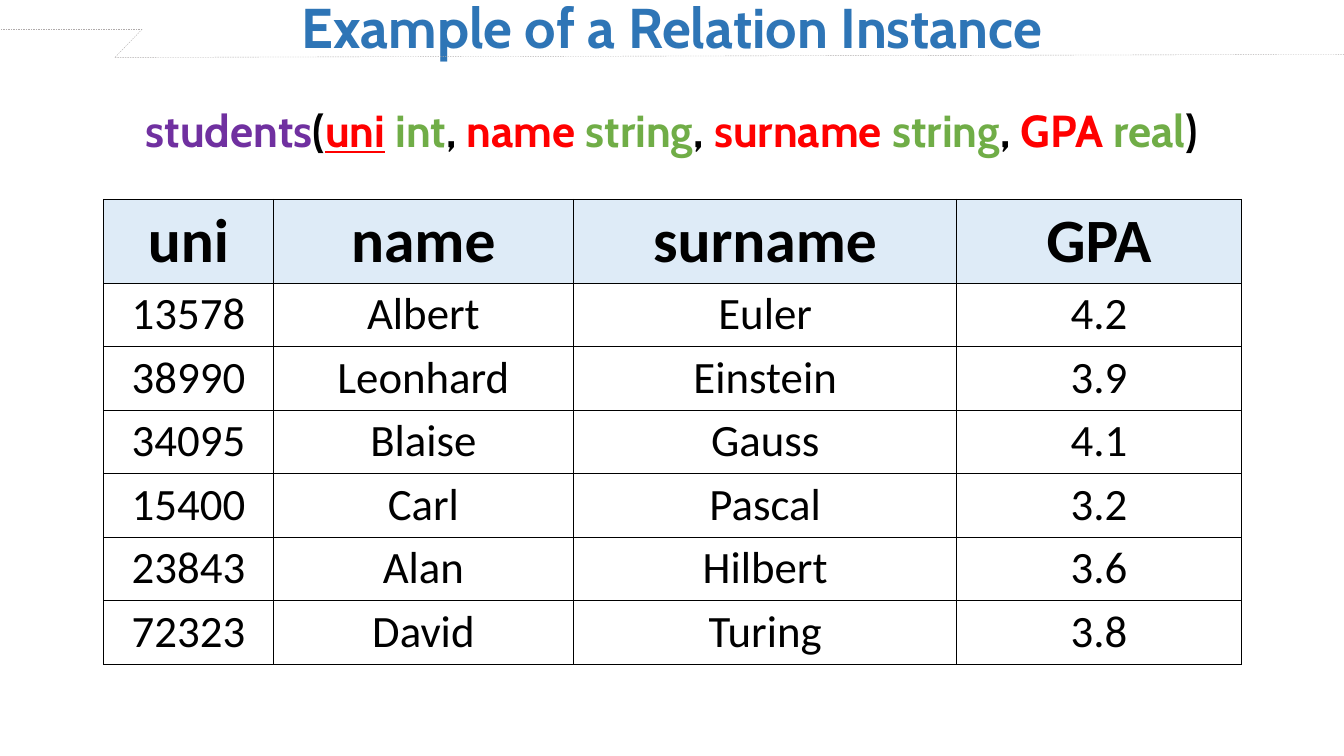
"""Build a slide showing a relation schema and an instance of it."""
from lxml import etree
from pptx import Presentation
from pptx.dml.color import RGBColor
from pptx.enum.dml import MSO_LINE
from pptx.enum.shapes import MSO_CONNECTOR
from pptx.enum.text import MSO_AUTO_SIZE, PP_ALIGN
from pptx.oxml.ns import qn
from pptx.util import Inches, Pt

CENTER = PP_ALIGN.CENTER
STRAIGHT = MSO_CONNECTOR.STRAIGHT
DASH = MSO_LINE.DASH
GROW = MSO_AUTO_SIZE.SHAPE_TO_FIT_TEXT

BLUE = RGBColor(0x2E, 0x75, 0xB6)
PURPLE = RGBColor(0x70, 0x30, 0xA0)
RED = RGBColor(0xFF, 0x00, 0x00)
GREEN = RGBColor(0x70, 0xAD, 0x47)
BLACK = RGBColor(0x00, 0x00, 0x00)
GRAY = RGBColor(0xAF, 0xAB, 0xAB)
PALE_BLUE = RGBColor(0xDE, 0xEB, 0xF7)

SLIDE_WIDTH, SLIDE_HEIGHT = 13.33, 7.5
TITLE = "Example of a Relation Instance"
RELATION = "students"
KEY = "uni"
ATTRIBUTES = [("uni", "int"), ("name", "string"), ("surname", "string"), ("GPA", "real")]
STUDENTS = [
    ("13578", "Albert", "Euler", "4.2"),
    ("38990", "Leonhard", "Einstein", "3.9"),
    ("34095", "Blaise", "Gauss", "4.1"),
    ("15400", "Carl", "Pascal", "3.2"),
    ("23843", "Alan", "Hilbert", "3.6"),
    ("72323", "David", "Turing", "3.8"),
]
COLUMN_WIDTHS = [1.68, 2.98, 3.8, 2.82]
HEADER_HEIGHT, STUDENT_HEIGHT = 0.83, 0.63
RULE_SEGMENTS = [
    ((1.14, 0.57), (13.33, 0.54)),
    ((1.41, 0.29), (1.14, 0.57)),
    ((1.41, 0.29), (0, 0.29)),
]


def style_font(font, name, size, color, bold):
    font.name = name
    font.size = Pt(size)
    font.color.rgb = color
    font.bold = bold


def add_line_of_text(slide, top, height, pieces, size):
    box = slide.shapes.add_textbox(0, Inches(top), Inches(SLIDE_WIDTH), Inches(height))
    frame = box.text_frame
    frame.word_wrap = True
    frame.auto_size = GROW
    paragraph = frame.paragraphs[0]
    paragraph.alignment = CENTER
    for text, color, underline in pieces:
        run = paragraph.add_run()
        run.text = text
        style_font(run.font, "Cabin", size, color, True)
        run.font.underline = underline
    return frame


def schema_pieces():
    pieces = [(RELATION, PURPLE, False), ("(", BLACK, False)]
    for index, (attribute, domain) in enumerate(ATTRIBUTES):
        if index:
            pieces.append((", ", BLACK, False))
        pieces += [(attribute, RED, attribute == KEY), (" ", BLACK, False), (domain, GREEN, False)]
    return pieces + [(")", BLACK, False)]


def add_rule(slide):
    for start, end in RULE_SEGMENTS:
        segment = slide.shapes.add_connector(STRAIGHT, *map(Inches, start + end))
        segment.line.color.rgb = GRAY
        segment.line.width = Pt(0.25)
        segment.line.dash_style = DASH
        etree.SubElement(segment.element.spPr, qn("a:effectLst"))


def add_borders(cell):
    properties = cell._tc.get_or_add_tcPr()
    for side in ("a:lnL", "a:lnR", "a:lnT", "a:lnB"):
        border = etree.SubElement(properties, qn(side), w=str(Pt(1)))
        fill = etree.SubElement(border, qn("a:solidFill"))
        etree.SubElement(fill, qn("a:srgbClr"), val=str(BLACK))


def add_instance(slide):
    rows = [tuple(attribute for attribute, _ in ATTRIBUTES)] + STUDENTS
    heights = [HEADER_HEIGHT] + [STUDENT_HEIGHT] * len(STUDENTS)
    instance = slide.shapes.add_table(
        len(rows), len(ATTRIBUTES), Inches(1.03), Inches(1.98),
        Inches(sum(COLUMN_WIDTHS)), Inches(sum(heights))).table
    instance.first_row = False
    instance.horz_banding = False
    for column, width in zip(instance.columns, COLUMN_WIDTHS):
        column.width = Inches(width)
    for row_index, (values, height) in enumerate(zip(rows, heights)):
        is_header = row_index == 0
        instance.rows[row_index].height = Inches(height)
        for column_index, value in enumerate(values):
            cell = instance.cell(row_index, column_index)
            cell.text_frame.text = value
            paragraph = cell.text_frame.paragraphs[0]
            paragraph.alignment = CENTER
            style_font(paragraph.runs[0].font, "Calibri", 44 if is_header else 32, BLACK, is_header)
            cell.margin_top = cell.margin_bottom = Inches(0.04)
            add_borders(cell)
            if is_header:
                cell.fill.solid()
                cell.fill.fore_color.rgb = PALE_BLUE
            else:
                cell.fill.background()


def main():
    deck = Presentation()
    deck.slide_width, deck.slide_height = Inches(SLIDE_WIDTH), Inches(SLIDE_HEIGHT)
    slide = deck.slides.add_slide(deck.slide_layouts[6])
    add_line_of_text(slide, -0.12, 0.77, [(TITLE, BLUE, False)], 40)
    add_rule(slide)
    schema = add_line_of_text(slide, 0.7, 0.82, schema_pieces(), 32)
    schema.margin_left = schema.margin_right = 0
    schema.paragraphs[0].line_spacing = 1.5
    add_instance(slide)
    deck.save("out.pptx")


if __name__ == "__main__":
    main()
